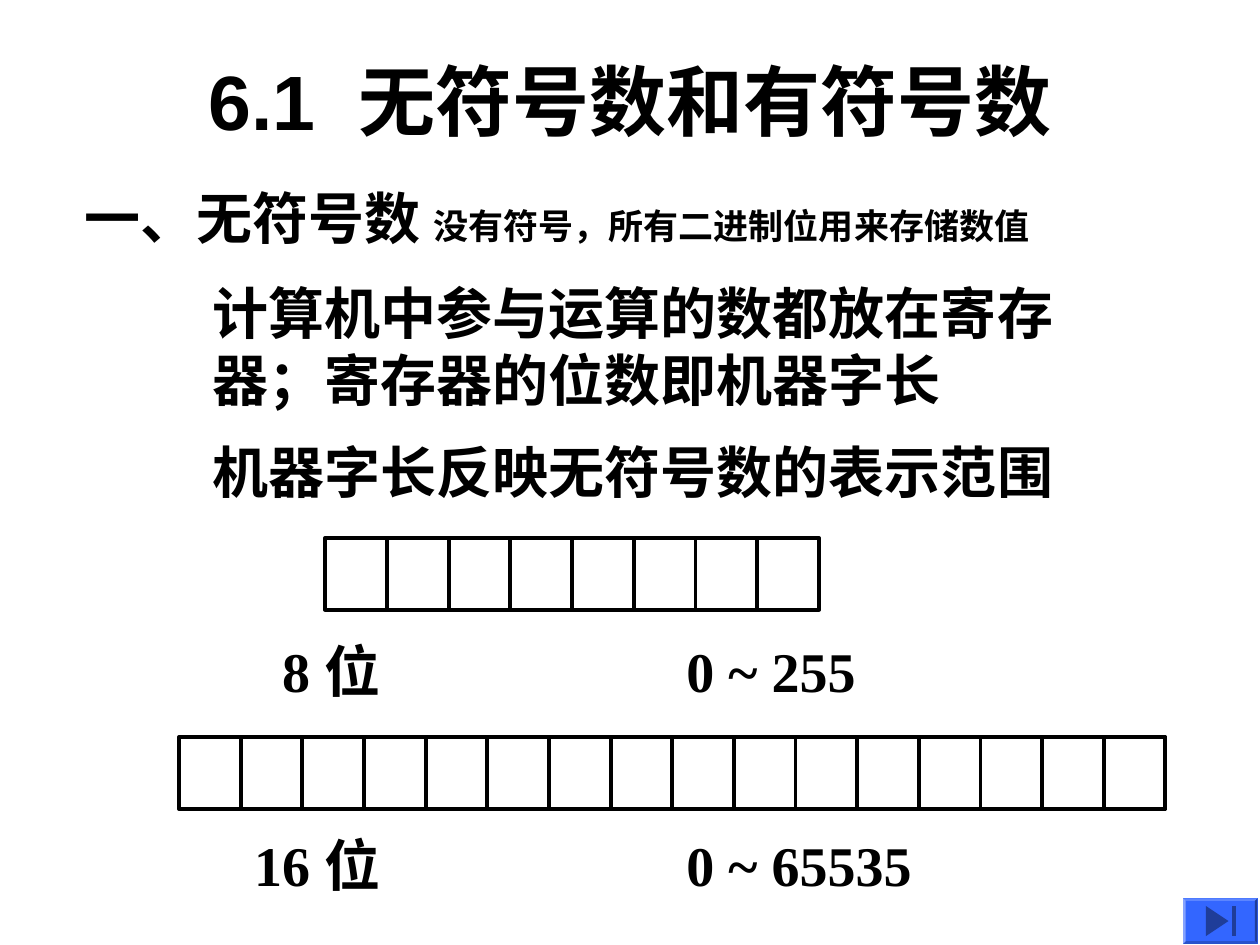
from pptx import Presentation
from pptx.dml.color import RGBColor
from pptx.enum.shapes import MSO_CONNECTOR, MSO_SHAPE
from pptx.enum.text import MSO_ANCHOR, MSO_AUTO_SIZE, PP_ALIGN
from pptx.oxml.ns import qn
from pptx.util import Inches, Pt
from lxml import etree

RECT = MSO_SHAPE.RECTANGLE
LINE = MSO_CONNECTOR.STRAIGHT
MID = MSO_ANCHOR.MIDDLE
FIT = MSO_AUTO_SIZE.SHAPE_TO_FIT_TEXT
CENTER = PP_ALIGN.CENTER

BLACK = "000000"
SERIF, SANS = "Times New Roman", "Arial"

TITLE = ("6.1", " ", "无符号数和有符号数")
TITLE_GAP = 1220  # extra width of the title's space, in 1/100 pt

# left, top, width, height, runs of (text, size)
NOTES = [
    (0.57, 1.41, 8.12, 0.64,
     [("一、无符号数 ", 32), ("没有符号，所有二进制位用来存储数值", 20)]),
    (1.59, 2.16, 7.1, 1.17,
     [("计算机中参与运算的数都放在寄存器；寄存器的位数即机器字长", 32)]),
    (1.59, 3.42, 7.24, 0.64, [("机器字长反映无符号数的表示范围", 32)]),
]

# bits, left, right and top of the cells, top of the label, range
WORDS = [
    (8, 2.58, 6.5, 4.27, 5.0, "0 ~ 255"),
    (16, 1.42, 9.25, 5.85, 6.54, "0 ~ 65535"),
]
BYTE = 8
CELL_H = 0.57
LABEL_X, LABEL_W, LABEL_H = 1.82, 6.6, 0.64
TABS = [(1.1, "r"), (3.53, "l")]

# Next button: outer box, bevel width, colours
X1, Y1, X2, Y2 = 9.39, 7.13, 9.98, 7.49
BEVEL = 0.02
A1, B1, A2, B2 = X1 + BEVEL, Y1 + BEVEL, X2 - BEVEL, Y2 - BEVEL
BUTTON = [
    ("3366FF", [(X1, Y1), (X2, Y1), (X2, Y2), (X1, Y2)]),
    ("5C85FF", [(X1, Y1), (X2, Y1), (A2, B1), (A1, B1)]),
    ("1F3D99", [(X2, Y1), (X2, Y2), (A2, B2), (A2, B1)]),
    ("2952CC", [(X2, Y2), (X1, Y2), (A1, B2), (A2, B2)]),
    ("85A3FF", [(X1, Y2), (X1, Y1), (A1, B1), (A1, B2)]),
    ("1F3D99", [(9.75, 7.31), (9.57, 7.43), (9.57, 7.19)]),
    ("1F3D99", [(9.78, 7.19), (9.78, 7.43), (9.81, 7.43), (9.81, 7.19)]),
]


def color(code):
    return RGBColor.from_string(code)


def add_run(para, text, size, face):
    run = para.add_run()
    run.text = text
    look = {"size": Pt(size), "name": face, "bold": True}
    for key, value in look.items():
        setattr(run.font, key, value)
    run.font.color.rgb = color(BLACK)
    return run


def add_text(slide, box, runs, tabs=()):
    frame = slide.shapes.add_textbox(*map(Inches, box)).text_frame
    frame.word_wrap = True
    frame.auto_size = FIT
    para = frame.paragraphs[0]
    if tabs:
        stops = etree.SubElement(para._p.get_or_add_pPr(), qn("a:tabLst"))
        for pos, side in tabs:
            etree.SubElement(stops, qn("a:tab"), pos=str(Inches(pos)), algn=side)
    for text, size in runs:
        add_run(para, text, size, SERIF)


def add_title(slide):
    title = slide.shapes.title
    spot = {"left": 0.75, "top": 0.17, "width": 8.5, "height": 1.25}
    for key, value in spot.items():
        setattr(title, key, Inches(value))
    title.text_frame.vertical_anchor = MID
    para = title.text_frame.paragraphs[0]
    para.alignment = CENTER
    for text in TITLE:
        run = add_run(para, text, 44, SANS)
        if text == " ":
            run._r.get_or_add_rPr().set("spc", str(TITLE_GAP))


def set_line(line):
    line.color.rgb = color(BLACK)
    line.width = Pt(2.25)


def add_line(slide, *ends):
    rule = slide.shapes.add_connector(LINE, *map(Inches, ends))
    set_line(rule.line)
    etree.SubElement(rule._element.spPr, qn("a:effectLst"))


def add_cells(slide, count, left, right, top):
    """Draw one box per bit, then rules along each byte and at each edge."""
    width = (right - left) / count
    edges = [left + i * width for i in range(count + 1)]
    low = top + CELL_H
    for x in edges[:-1]:
        box = (x, top, width, CELL_H)
        cell = slide.shapes.add_shape(RECT, *map(Inches, box))
        cell.shadow.inherit = False
        cell.fill.background()
        set_line(cell.line)
    marks = edges[::BYTE]
    for start, end in zip(marks, marks[1:]):
        for y in (top, low):
            add_line(slide, start, y, end, y)
    for x in edges:
        add_line(slide, x, top, x, low)


def add_button(slide):
    for code, points in BUTTON:
        spots = [(Inches(x), Inches(y)) for x, y in points]
        pen = slide.shapes.build_freeform(*spots[0])
        pen.add_line_segments(spots[1:], close=True)
        part = pen.convert_to_shape()
        part.shadow.inherit = False
        part.fill.solid()
        part.fill.fore_color.rgb = color(code)
        part.line.fill.background()


def main():
    deck = Presentation()
    deck.slide_width, deck.slide_height = Inches(10), Inches(7.5)
    slide = deck.slides.add_slide(deck.slide_layouts[5])
    add_title(slide)
    for *box, runs in NOTES:
        add_text(slide, box, runs)
    for bits, left, right, top, low, span in WORDS:
        add_cells(slide, bits, left, right, top)
        add_text(slide, (LABEL_X, low, LABEL_W, LABEL_H),
                 [(f"\t{bits} 位\t{span}", 32)], TABS)
    add_button(slide)
    deck.save("out.pptx")


if __name__ == "__main__":
    main()
